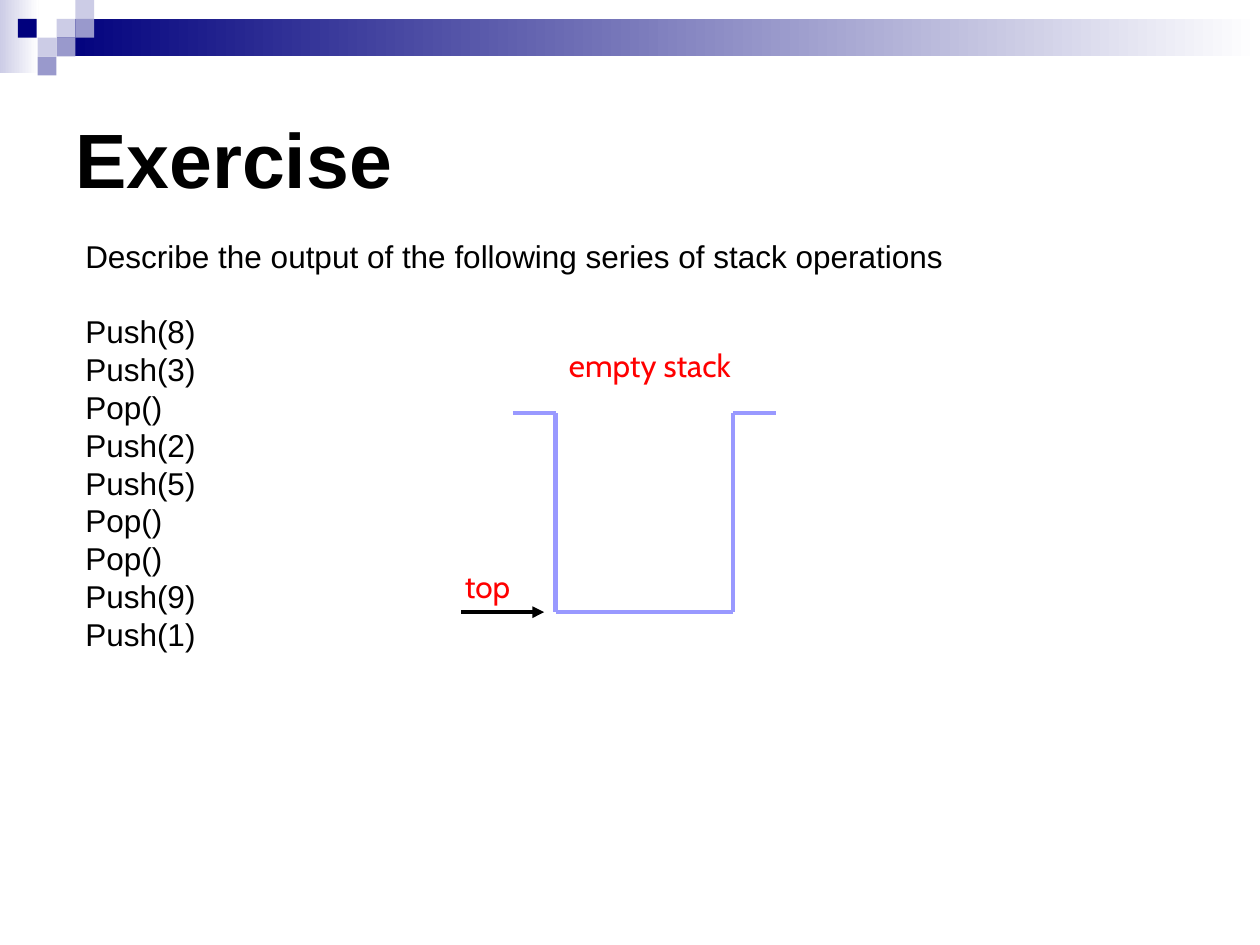
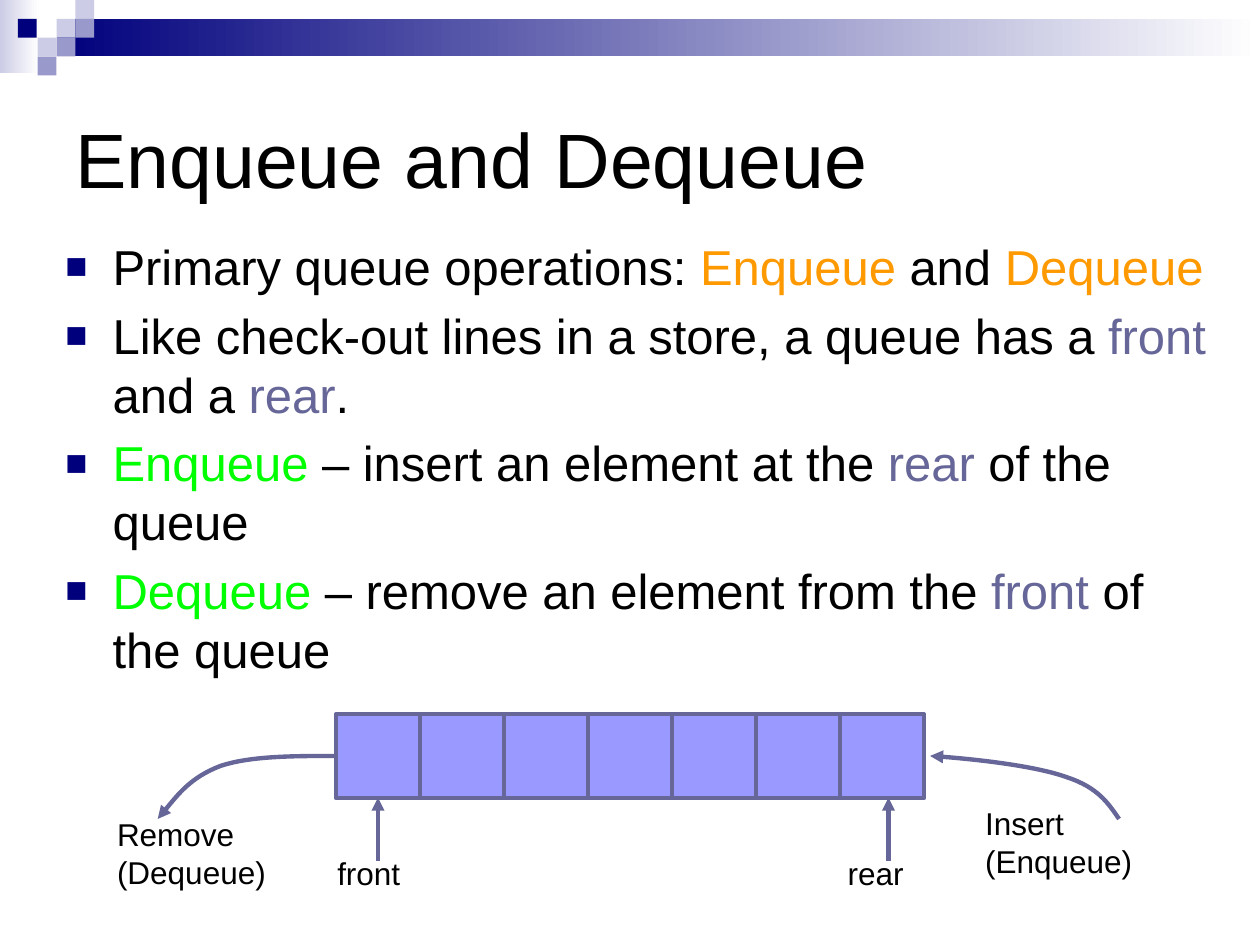
"""Build two slides on stack and queue operations."""
from itertools import pairwise

from lxml.etree import SubElement
from pptx import Presentation
from pptx.dml.color import RGBColor
from pptx.enum.shapes import MSO_CONNECTOR as CONN, MSO_SHAPE as SHAPE
from pptx.enum.text import MSO_ANCHOR as ANCHOR, PP_ALIGN as ALIGN
from pptx.oxml.ns import qn
from pptx.util import Cm, Pt

rgb = RGBColor.from_string
BLACK, NAVY, RED = "000000", "00007D", "FF0000"
PALE, MID = "CCCCE6", "9999CC"
LILAC, SLATE = "9999FF", "666699"
ORANGE, GREEN = "FF9900", "00FF00"


def add_text(s, box, paras, size=18, font="Arial", bold=False):
    """Add a text box whose paragraphs are lists of (text, colour) runs."""
    tf = s.shapes.add_textbox(*map(Cm, box)).text_frame
    tf.word_wrap = True
    for i, runs in enumerate(paras):
        p = tf.paragraphs[0] if i == 0 else tf.add_paragraph()
        for text, color in runs:
            if text == "\n":
                p.add_line_break()
                continue
            r = p.add_run()
            r.text = text
            r.font.name, r.font.size, r.font.bold = font, Pt(size), bold
            r.font.color.rgb = rgb(color)
    return tf


def set_line(sp, color, width, arrow=False):
    """Style an outline, with an optional arrowhead and no shadow."""
    sp.line.color.rgb = rgb(color)
    sp.line.width = Pt(width)
    if arrow:
        SubElement(sp.line._get_or_add_ln(), qn("a:tailEnd"), type="triangle")
    SubElement(sp._element.spPr, qn("a:effectLst"))


prs = Presentation()
prs.slide_width, prs.slide_height = Cm(25.4), Cm(19.05)

unit = 0.38
bands = [(0, 0, 0.78, 1.47, PALE), (3 * unit, unit, 24.26, 2 * unit, NAVY)]
squares = [(3, 1, PALE), (4, 0, PALE), (4, 1, MID), (2, 2, PALE),
           (0.95, 1, NAVY), (3, 2, MID), (2, 3, MID)]

slides = []
for title, bold in [("Exercise", True), ("Enqueue and Dequeue", False)]:
    s = prs.slides.add_slide(prs.slide_layouts[6])
    slides.append(s)
    for *box, color in bands:
        sp = s.shapes.add_shape(SHAPE.RECTANGLE, *map(Cm, box))
        sp.shadow.inherit = False
        sp.line.fill.background()
        sp.fill.gradient()
        sp.fill.gradient_angle = 0
        for stop, shade in zip(sp.fill.gradient_stops, (color, "FFFFFF")):
            stop.color.rgb = rgb(shade)
    for col, row, color in squares:
        box = col * unit, row * unit, unit, unit
        sp = s.shapes.add_shape(SHAPE.RECTANGLE, *map(Cm, box))
        sp.shadow.inherit = False
        sp.line.fill.background()
        sp.fill.solid()
        sp.fill.fore_color.rgb = rgb(color)
    tf = add_text(s, (1.27, 1.27, 22.86, 3.81), [[(title, BLACK)]], 44, bold=bold)
    tf.vertical_anchor = ANCHOR.MIDDLE

s = slides[0]
lines = ["Describe the output of the following series of stack operations",
         "Push(8)", "Push(3)", "Pop()", "Push(2)", "Push(5)",
         "Pop()", "Pop()", "Push(9)", "Push(1)"]
tf = add_text(s, (1.47, 4.65, 19.61, 8.64), [[(line, BLACK)] for line in lines])
tf.paragraphs[1].space_before = Pt(21.6)

for label, box in [("top", (9.12, 11.3, 1.42, 1.02)),
                   ("empty stack", (11.13, 6.86, 3.94, 1.02))]:
    tf = add_text(s, box, [[(label, RED)]], font="Cabin")
    tf.word_wrap = False
    tf.paragraphs[0].alignment = ALIGN.CENTER

rim, base = 8.33, 12.34
stack = [(10.34, rim), (11.2, rim), (11.2, base),
         (14.78, base), (14.78, rim), (15.65, rim)]
for start, end in pairwise(stack):
    cn = s.shapes.add_connector(CONN.STRAIGHT, *map(Cm, start + end))
    set_line(cn, LILAC, 2.5)
cn = s.shapes.add_connector(CONN.STRAIGHT, *map(Cm, (9.3, base, 10.97, base)))
set_line(cn, BLACK, 2.25, arrow=True)

s = slides[1]
bullets = [
    [("Primary queue operations: ", BLACK), ("Enqueue", ORANGE),
     (" and ", BLACK), ("Dequeue", ORANGE)],
    [("Like check-out lines in a store, a queue has a ", BLACK),
     ("front", SLATE), (" and a ", BLACK), ("rear", SLATE), (".", BLACK)],
    [("Enqueue ", GREEN), ("– insert an element at the ", BLACK),
     ("rear", SLATE), (" of the queue", BLACK)],
    [("Dequeue", GREEN), (" – remove an element from the ", BLACK),
     ("front", SLATE), (" of the queue", BLACK)],
]
tf = add_text(s, (1.07, 4.65, 23.7, 9.53), bullets, 28)
for p in tf.paragraphs:
    p.space_before = Pt(5.6)
    pPr = p._p.get_or_add_pPr()
    pPr.set("marL", str(Cm(0.95)))
    pPr.set("indent", str(-Cm(0.95)))
    SubElement(SubElement(pPr, qn("a:buClr")), qn("a:srgbClr"), val=NAVY)
    SubElement(pPr, qn("a:buSzPct"), val="75000")
    SubElement(pPr, qn("a:buFont"), typeface="Arial")
    SubElement(pPr, qn("a:buChar"), char="■")

count, queue_left, queue_top, queue_width = 7, 6.77, 14.4, 11.86
cell = queue_width / count
for i in range(count):
    box = queue_left + i * cell, queue_top, cell, cell
    sp = s.shapes.add_shape(SHAPE.RECTANGLE, *map(Cm, box))
    sp.fill.solid()
    sp.fill.fore_color.rgb = rgb(LILAC)
    set_line(sp, SLATE, 2.25)

remove_curve = [(6.77, 15.24), (5.92, 15.24), (5.05, 15.24), (4.45, 15.44),
                (3.84, 15.67), (3.43, 16.21), (3.18, 16.51)]
insert_curve = [(22.56, 16.51), (22.35, 16.21), (22.15, 15.88), (21.51, 15.67),
                (20.88, 15.44), (19.35, 15.27), (18.75, 15.24)]
for points in (remove_curve, insert_curve):
    start, *rest = [(Cm(x), Cm(y)) for x, y in points]
    fb = s.shapes.build_freeform(*start)
    fb.add_line_segments(rest, close=False)
    sp = fb.convert_to_shape()
    sp.fill.background()
    set_line(sp, SLATE, 2.5, arrow=True)
    outline = sp._element.find(".//" + qn("a:path"))
    segments = outline.findall(qn("a:lnTo"))
    for i in range(0, len(segments), 3):
        bezier = SubElement(outline, qn("a:cubicBezTo"))
        for segment in segments[i:i + 3]:
            bezier.append(segment[0])
            outline.remove(segment)

labels = [(("Insert ", "\n", "(Enqueue)"), (19.61, 16.08, 4.45, 1.96)),
          (("Remove", "\n", "(Dequeue)"), (2.11, 16.31, 4.45, 1.96)),
          (("rear",), (16.84, 17.09, 1.91, 1.09)),
          (("front",), (6.55, 17.09, 2.74, 1.09))]
for texts, box in labels:
    add_text(s, box, [[(text, BLACK) for text in texts]])

for x in (7.62, 17.91):
    cn = s.shapes.add_connector(CONN.STRAIGHT, *map(Cm, (x, 17.35, x, 16.08)))
    set_line(cn, SLATE, 2.5, arrow=True)

prs.save("out.pptx")
